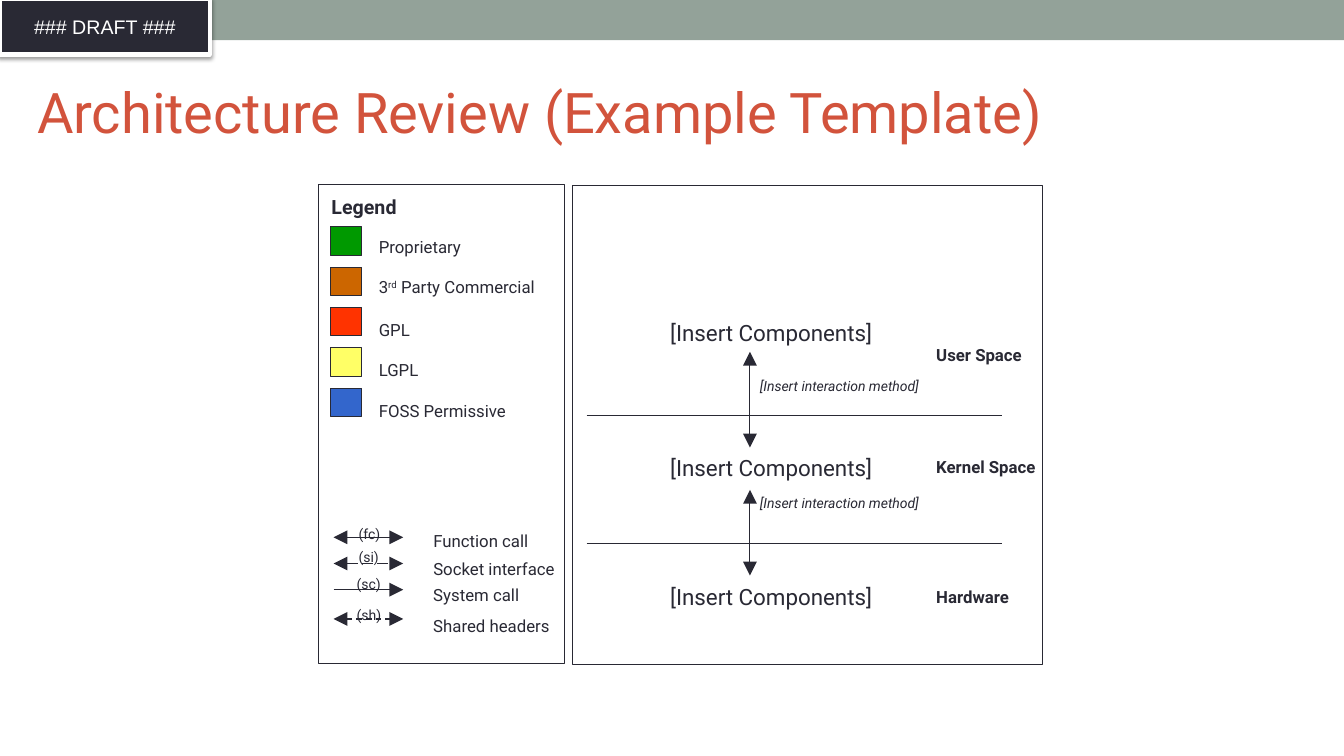
from dataclasses import dataclass, field
from typing import NamedTuple, Optional

from lxml import etree
from pptx import Presentation
from pptx import util as u
from pptx.dml.color import RGBColor
from pptx.enum import dml, shapes, text
from pptx.oxml import ns


@dataclass(frozen=True)
class Theme:
    ink: str = "292934"
    white: str = "FFFFFF"
    accent: str = "D2533C"
    band: str = "93A299"
    thin: float = 0.75
    rule: float = 1
    frame: float = 3
    title: dict = field(default_factory=lambda: {"name": "Roboto", "size": u.Pt(40)})
    draft: dict = field(default_factory=lambda: {"name": "Arial", "size": u.Pt(14)})
    heading: dict = field(default_factory=lambda: {"name": "Roboto", "size": u.Pt(14), "bold": True})
    component: dict = field(default_factory=lambda: {"name": "Roboto", "size": u.Pt(16)})
    label: dict = field(default_factory=lambda: {"name": "Roboto", "size": u.Pt(12)})
    space: dict = field(default_factory=lambda: {"name": "Roboto", "size": u.Pt(12), "bold": True})
    code: dict = field(default_factory=lambda: {"name": "Roboto", "size": u.Pt(10)})
    method: dict = field(default_factory=lambda: {"name": "Roboto", "size": u.Pt(10), "italic": True})


class Box(NamedTuple):
    left: float
    top: float
    width: float
    height: float


class License(NamedTuple):
    runs: tuple  # every second run is superscript
    color: str
    top: float
    width: float


class Call(NamedTuple):
    name: str
    name_top: float
    name_width: float
    code: str
    code_box: Box
    arrow_y: float
    dash: Optional[dml.MSO_LINE] = None
    two_way: bool = True


class Level(NamedTuple):
    name: str
    name_top: float
    name_width: float
    component_top: float


class Interaction(NamedTuple):
    start: float
    end: float
    method_top: float
    divider: float


THEME = Theme()
LICENSES = [
    License(("Proprietary",), "009900", 165.6, 73.4),
    License(("3", "rd", " Party Commercial"), "CC6600", 194.4, 127.4),
    License(("GPL",), "FF3300", 224.6, 36.7),
    License(("LGPL",), "FFFF66", 253.4, 43.9),
    License(("FOSS Permissive",), "3366CC", 283, 106.6),
]
CALLS = [
    Call("Function call", 375.8, 82.8, "(fc)", Box(249.1, 371.5, 30.2, 19.4), 383.8),
    Call("Socket interface", 395.3, 102.2, "(si)", Box(249.1, 388.1, 28.8, 19.4), 402.5,
         dash=dml.MSO_LINE.LONG_DASH),
    Call("System call", 414, 76.3, "(sc)", Box(247.7, 407.5, 31.7, 19.4), 421.2, two_way=False),
    Call("Shared headers", 436.3, 98.6, "(sh)", Box(247.7, 429.8, 32.4, 19.4), 442.1,
         dash=dml.MSO_LINE.DASH),
]
LEVELS = [
    Level("User Space", 242.6, 76.3, 224.6),
    Level("Kernel Space", 322.6, 86.4, 321.1),
    Level("Hardware", 415.4, 67, 413.3),
]
INTERACTIONS = [
    Interaction(251.3, 319.7, 266.4, 296.6),
    Interaction(349.9, 411.1, 349.9, 388.1),
]


def rgb(color: str) -> RGBColor:
    return RGBColor.from_string(color)


def write(shape, runs: tuple, style: dict, color: str) -> None:
    for index, words in enumerate(runs):
        run = shape.text_frame.paragraphs[0].add_run()
        run.text = words
        for name, value in style.items():
            setattr(run.font, name, value)
        run.font.color.rgb = rgb(color)
        if index % 2:
            run._r.get_or_add_rPr().set("baseline", "30000")


def add_text(slide, box: Box, runs: tuple, style: dict, color: str = THEME.ink):
    label = slide.shapes.add_textbox(*map(u.Pt, box))
    write(label, runs, style, color)
    return label


def add_rect(slide, box: Box, fill: Optional[str] = None,
             line: Optional[str] = THEME.ink, weight: float = THEME.rule):
    rect = slide.shapes.add_shape(shapes.MSO_SHAPE.RECTANGLE, *map(u.Pt, box))
    rect.shadow.inherit = False
    if fill:
        rect.fill.solid()
        rect.fill.fore_color.rgb = rgb(fill)
    else:
        rect.fill.background()
    if line:
        rect.line.color.rgb = rgb(line)
        rect.line.width = u.Pt(weight)
    else:
        rect.line.fill.background()
    return rect


def add_line(slide, x1: float, y1: float, x2: float, y2: float, weight: float = THEME.rule,
             dash: Optional[dml.MSO_LINE] = None, heads: tuple = ()) -> None:
    line = slide.shapes.add_connector(shapes.MSO_CONNECTOR.STRAIGHT, *map(u.Pt, (x1, y1, x2, y2)))
    line.line.color.rgb = rgb(THEME.ink)
    line.line.width = u.Pt(weight)
    if dash is not None:
        line.line.dash_style = dash
    for end in heads:
        etree.SubElement(line.line._get_or_add_ln(), ns.qn(f"a:{end}"), type="triangle", w="lg", len="lg")
    etree.SubElement(line._element.spPr, ns.qn("a:effectLst"))


def cast_shadow(shape) -> None:
    effects = shape._element.spPr.find(ns.qn("a:effectLst"))
    shadow = etree.SubElement(effects, ns.qn("a:outerShdw"), blurRad=str(u.Pt(3.1)),
                              dist=str(u.Pt(1.6)), dir="5400000", rotWithShape="0")
    black = etree.SubElement(shadow, ns.qn("a:srgbClr"), val="000000")
    etree.SubElement(black, ns.qn("a:alpha"), val="38000")


def draw_header(slide) -> None:
    add_rect(slide, Box(0, 0, 960, 28.8), THEME.band, None)
    draft = add_rect(slide, Box(0, -0.7, 149.8, 39.6), THEME.ink, THEME.white, THEME.frame)
    cast_shadow(draft)
    write(draft, ("### DRAFT ###",), THEME.draft, THEME.white)
    draft.text_frame.paragraphs[0].alignment = text.PP_ALIGN.CENTER
    title = add_text(slide, Box(19.4, 40.3, 864, 77.8),
                     ("Architecture Review (Example Template)",), THEME.title, THEME.accent)
    title.text_frame.word_wrap = True
    title.text_frame.vertical_anchor = text.MSO_ANCHOR.MIDDLE


def draw_legend(slide) -> None:
    add_rect(slide, Box(227.5, 131.8, 175.7, 342))
    add_text(slide, Box(229.7, 135.4, 61.9, 24.5), ("Legend",), THEME.heading)
    # License colours
    for row, entry in enumerate(LICENSES):
        add_rect(slide, Box(236.2, 162 + 28.8 * row, 22.3, 20.2), entry.color, weight=THEME.thin)
        add_text(slide, Box(263.5, entry.top, entry.width, 21.6), entry.runs, THEME.label)
    # Call types
    for call in CALLS:
        heads = ("headEnd", "tailEnd") if call.two_way else ("tailEnd",)
        add_line(slide, 238.3, call.arrow_y, 288, call.arrow_y, dash=call.dash, heads=heads)
        add_text(slide, call.code_box, (call.code,), THEME.code)
        add_text(slide, Box(302.4, call.name_top, call.name_width, 21.6), (call.name,), THEME.label)


def draw_architecture(slide) -> None:
    add_rect(slide, Box(409, 132.5, 335.5, 342))
    # Levels from software down to hardware
    for level in LEVELS:
        add_text(slide, Box(471.6, level.component_top, 160.6, 26.6),
                 ("[Insert Components]",), THEME.component)
        add_text(slide, Box(661.7, level.name_top, level.name_width, 21.6), (level.name,), THEME.space)
    # Boundaries and the interactions across them
    for link in INTERACTIONS:
        add_line(slide, 419, link.divider, 715.7, link.divider)
        add_line(slide, 535.7, link.start, 535.7, link.end, THEME.thin, heads=("headEnd", "tailEnd"))
        add_text(slide, Box(535.7, link.method_top, 130.3, 19.4),
                 ("[Insert interaction method]",), THEME.method)


def main() -> None:
    deck = Presentation()
    deck.slide_width, deck.slide_height = u.Pt(960), u.Pt(540)
    slide = deck.slides.add_slide(deck.slide_layouts[6])
    draw_header(slide)
    draw_legend(slide)
    draw_architecture(slide)
    deck.save("out.pptx")


if __name__ == "__main__":
    main()
